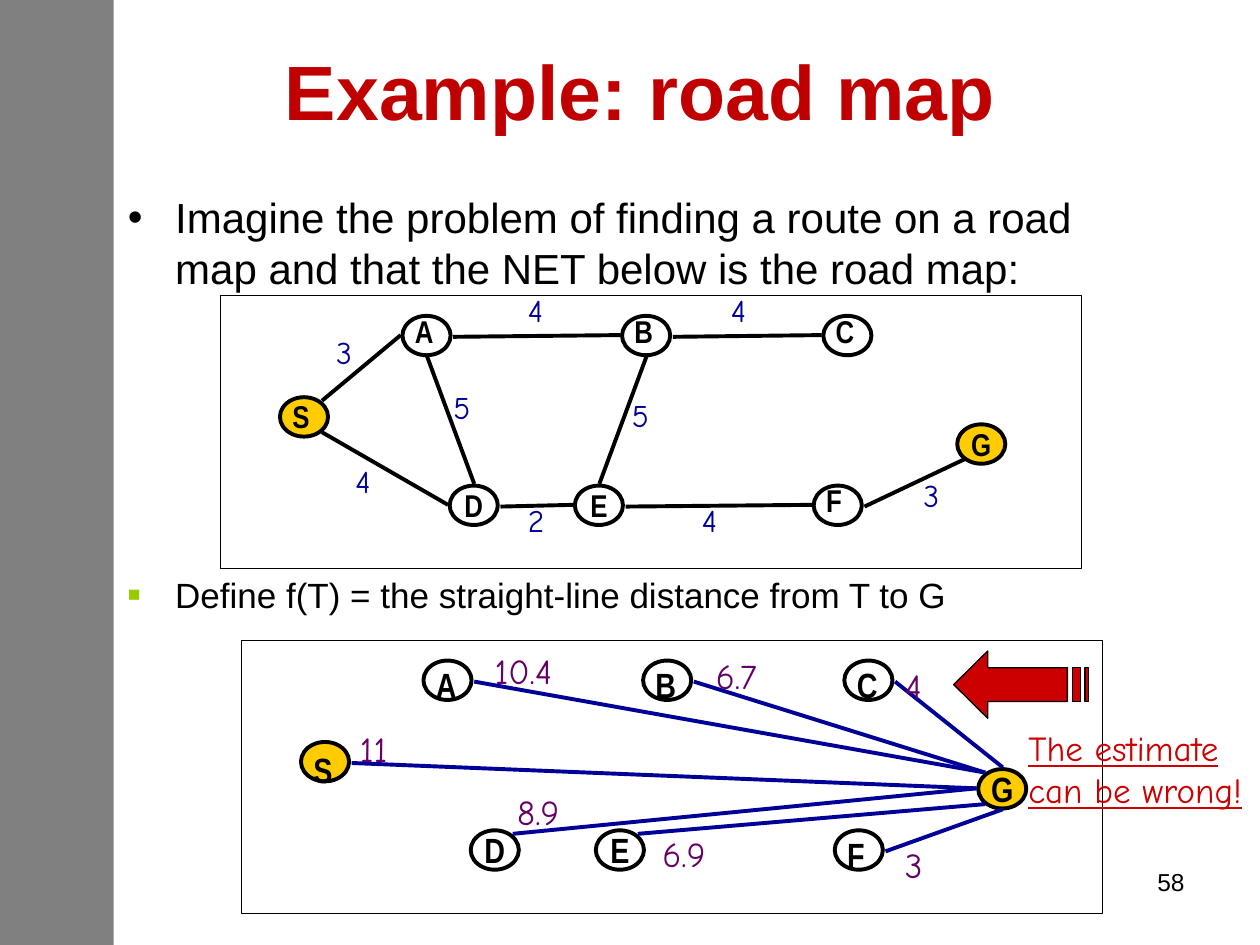
from lxml import etree
from pptx import Presentation
from pptx.dml.color import RGBColor
from pptx.enum.shapes import MSO_CONNECTOR, MSO_SHAPE
from pptx.enum.text import MSO_ANCHOR, PP_ALIGN
from pptx.oxml.ns import qn
from pptx.util import Pt

RECTANGLE, OVAL = MSO_SHAPE.RECTANGLE, MSO_SHAPE.OVAL
STRAIGHT = MSO_CONNECTOR.STRAIGHT
LEFT, CENTER, RIGHT = PP_ALIGN.LEFT, PP_ALIGN.CENTER, PP_ALIGN.RIGHT
TOP, MIDDLE = MSO_ANCHOR.TOP, MSO_ANCHOR.MIDDLE

BLACK = RGBColor(0, 0, 0)
WHITE = RGBColor(255, 255, 255)
GRAY = RGBColor(0x80, 0x80, 0x80)
TITLE_RED = RGBColor(0xC0, 0, 0)
ARROW_RED = RGBColor(0xCC, 0, 0)
GOLD = RGBColor(0xFF, 0xCC, 0)
NAVY = RGBColor(0, 0, 0x99)
PURPLE = RGBColor(0x66, 0, 0x66)
GREEN = RGBColor(0x99, 0xCC, 0)

SANS, NARROW, HAND = "Arial", "Arial Narrow", "Comic Neue"
NODE_WIDTH, NODE_HEIGHT = 27.5, 22.5

NODES = {
    "A": (104, 11.5), "B": (229.5, 11.5), "C": (344.5, 11.5),
    "S": (34, 58), "D": (131, 108.5), "E": (202.5, 108.5),
    "F": (339, 108.5), "G": (421, 73.5),
}
GOALS = "SG"
CENTERED = "DEG"
PORTS = {
    "left": (-1, 11), "right": (29, 12), "top": (14, -1), "bottom": (14, 23),
    "upper left": (4, 2), "upper right": (24, 2),
    "lower left": (4, 20), "lower right": (24, 20),
}
ROADS = [
    ("S", "lower right", "D", "left"), ("S", "upper right", "A", "left"),
    ("D", "right", "E", "left"), ("A", "right", "B", "left"),
    ("B", "right", "C", "left"), ("E", "right", "F", "left"),
    ("F", "right", "G", "lower left"), ("D", "top", "A", "bottom"),
    ("E", "top", "B", "bottom"),
]
ROAD_LENGTHS = [
    ("4", 168.5, -6, 29), ("4", 70, 91.5, 29), ("4", 268, 114, 29),
    ("4", 284.5, -6.5, 29), ("3", 59, 18, 29), ("3", 394.5, 99.5, 29),
    ("2", 168.5, 114, 29), ("5", 126, 49, 29), ("5", 228, 54, 29),
]
ESTIMATES = [
    ("C", "right", "G", "top"), ("B", "right", "G", "upper left"),
    ("A", "right", "G", "upper left"), ("S", "right", "G", "left"),
    ("F", "right", "G", "bottom"), ("E", "upper right", "G", "lower left"),
    ("D", "upper right", "G", "left"),
]
ESTIMATE_LENGTHS = [
    ("4", 372, 10, 26.5), ("6.7", 264, 4.5, 44), ("10.4", 137.5, 1.5, 53.5),
    ("11", 60.5, 46, 32.5), ("8.9", 150.5, 82, 44), ("6.9", 233.5, 106, 44),
    ("3", 372, 112.5, 26.5),
]


def write(frame, text, size, font, color, bold=None, underline=None,
          align=LEFT, anchor=TOP, wrap=True):
    frame.text = text
    frame.word_wrap = wrap
    frame.vertical_anchor = anchor
    for para in frame.paragraphs:
        para.alignment = align
        for span in para.runs:
            span.font.size = Pt(size)
            span.font.name = font
            span.font.color.rgb = color
            span.font.bold = bold
            span.font.underline = underline


def add_text(page, box, text, size, font, color, **style):
    label = page.shapes.add_textbox(*map(Pt, box))
    write(label.text_frame, text, size, font, color, **style)
    return label


def paint(shape, fill, line=None, weight=0.75):
    shape.shadow.inherit = False
    if fill is None:
        shape.fill.background()
    else:
        shape.fill.solid()
        shape.fill.fore_color.rgb = fill
    if line is None:
        shape.line.fill.background()
    else:
        shape.line.color.rgb = line
        shape.line.width = Pt(weight)


def add_shape(page, kind, box, *look):
    shape = page.shapes.add_shape(kind, *map(Pt, box))
    paint(shape, *look)
    return shape


def add_line(page, start, end, color):
    line = page.shapes.add_connector(STRAIGHT, *map(Pt, (*start, *end)))
    line.line.color.rgb = color
    line.line.width = Pt(2.25)
    etree.SubElement(line._element.spPr, qn("a:effectLst"))


def add_bullet_text(page, box, text, size, bullet, color=None, percent=100):
    label = add_text(page, box, text, size, SANS, BLACK)
    para = label.text_frame.paragraphs[0]
    para.space_before = Pt(size * 0.2)
    settings = para._p.get_or_add_pPr()
    settings.set("marL", str(Pt(27)))
    settings.set("indent", str(-Pt(27)))
    if color is not None:
        tint = etree.SubElement(settings, qn("a:buClr"))
        etree.SubElement(tint, qn("a:srgbClr"), val=str(color))
    etree.SubElement(settings, qn("a:buSzPct"), val=str(percent * 1000))
    etree.SubElement(settings, qn("a:buFont"), typeface=SANS)
    etree.SubElement(settings, qn("a:buChar"), char=bullet)


def add_map(page, box, links, link_color, lengths, length_color, size,
            name_shift, start_shift, name_height):
    left, top = box[:2]
    add_shape(page, RECTANGLE, box, WHITE, BLACK)
    for name, (x, y) in NODES.items():
        fill = GOLD if name in GOALS else None
        place = (left + x, top + y, NODE_WIDTH, NODE_HEIGHT)
        node = add_shape(page, OVAL, place, fill, BLACK, 2.25)
        if name in CENTERED:
            write(node.text_frame, name, size, NARROW, BLACK, bold=True,
                  align=CENTER, anchor=MIDDLE, wrap=False)
    for first, exit_port, second, entry_port in links:
        start, end = (
            (left + NODES[name][0] + PORTS[port][0],
             top + NODES[name][1] + PORTS[port][1])
            for name, port in ((first, exit_port), (second, entry_port)))
        add_line(page, start, end, link_color)
    for name, (x, y) in NODES.items():
        if name not in CENTERED:
            shift = start_shift if name == "S" else name_shift
            place = (left + x, top + y + shift, NODE_WIDTH, name_height)
            add_text(page, place, name, size, NARROW, BLACK, bold=True,
                     wrap=False)
    for text, x, y, width in lengths:
        add_text(page, (left + x, top + y, width, name_height), text, size,
                 HAND, length_color, wrap=False)


def add_warning(page, box):
    left, top, width, height = box
    middle, upper, lower = height / 2, height / 4, height * 3 / 4
    pen = page.shapes.build_freeform(Pt(left), Pt(top + middle))
    head = [(19.5, 0), (19.5, upper), (65, upper), (65, lower),
            (19.5, lower), (19.5, height)]
    pen.add_line_segments([(Pt(left + x), Pt(top + y)) for x, y in head])
    for near, far in ((68, 72.5), (75, width)):
        pen.move_to(Pt(left + near), Pt(top + upper))
        corners = [(far, upper), (far, lower), (near, lower)]
        pen.add_line_segments(
            [(Pt(left + x), Pt(top + y)) for x, y in corners])
    paint(pen.convert_to_shape(), ARROW_RED, BLACK)
    add_text(page, (left + 35.5, top + 39.5, 139.5, 55.5),
             "The estimate\ncan be wrong!", 20, HAND, ARROW_RED,
             underline=True, wrap=False)


def main():
    deck = Presentation()
    deck.slide_width, deck.slide_height = Pt(720), Pt(540)
    page = deck.slides.add_slide(deck.slide_layouts[6])
    add_shape(page, RECTANGLE, (0, 0, 65, 540), GRAY)
    add_text(page, (516, 492, 168, 37.5), "58", 14, SANS, BLACK, align=RIGHT)
    add_text(page, (78, 6, 576, 90), "Example: road map", 44, SANS, TITLE_RED,
             bold=True, align=CENTER, anchor=MIDDLE)
    add_bullet_text(
        page, (66, 106, 594, 60),
        "Imagine the problem of finding a route on a road map "
        "and that the NET below is the road map:", 24, "•")
    add_map(page, (126, 169, 492, 156), ROADS, BLACK, ROAD_LENGTHS, NAVY,
            18, -6, -3.5, 36)
    add_map(page, (138, 366, 492, 156), ESTIMATES, NAVY, ESTIMATE_LENGTHS,
            PURPLE, 20, -2, 0, 31)
    add_bullet_text(page, (66, 324, 624, 42),
                    "Define f(T) = the straight-line distance from T to G",
                    20, "■", GREEN, 60)
    add_warning(page, (545, 372, 77, 38.5))
    deck.save("out.pptx")


if __name__ == "__main__":
    main()
